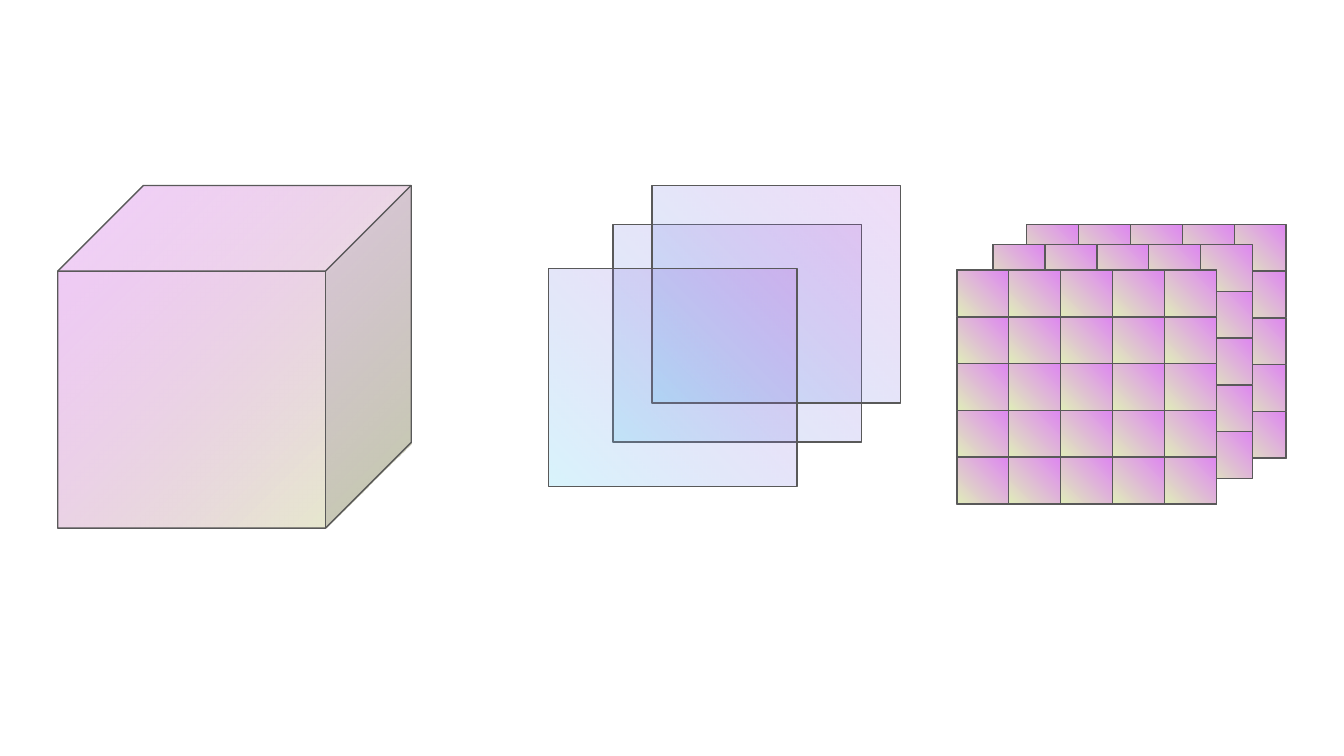
from pptx import Presentation
from pptx import util as u
from pptx.dml.color import RGBColor
from pptx.enum import shapes
from pptx.oxml.ns import qn
from lxml import etree

GREEN = RGBColor(0xE0, 0xED, 0xBA)
PINK = RGBColor(0xDE, 0x87, 0xF1)
CYAN = RGBColor(0x69, 0xD4, 0xF4)
PURPLE = RGBColor(0x9F, 0x39, 0xD5)
OUTLINE = RGBColor(0x59, 0x59, 0x59)

# Gradient stops as (colour, opacity in percent)
CUBE_FILL = ((GREEN, 79), (PINK, 48))
SHEET_FILL = ((CYAN, 26), (PURPLE, 17))
CELL_FILL = ((GREEN, 100), (PINK, 100))

SLIDE_WIDTH = 10
SLIDE_HEIGHT = SLIDE_WIDTH * 9 / 16
GRID_SIZE = 5
GRID_WIDTH, GRID_HEIGHT = 1.93, 1.74


class Diagram:
    """Draws gradient shapes with a thin grey outline on one slide."""

    def __init__(self, slide):
        self.slide = slide

    def block(self, kind, left, top, width, height, stops, parent=None, flip=True):
        parent = self.slide if parent is None else parent
        shape = parent.shapes.add_shape(
            kind, u.Inches(left), u.Inches(top), u.Inches(width), u.Inches(height))
        shape.shadow.inherit = False
        shape.line.color.rgb = OUTLINE
        shape.line.width = u.Pt(0.75)
        shape.fill.gradient()
        shape.fill.gradient_angle = 135
        for stop, (colour, _) in zip(shape.fill.gradient_stops, stops):
            stop.color.rgb = colour
        # Opacity and mirroring need XML
        properties = shape._element.spPr
        colours = properties.find(qn("a:gradFill")).iter(qn("a:srgbClr"))
        for element, (_, opacity) in zip(colours, stops):
            if opacity < 100:
                etree.SubElement(element, qn("a:alpha")).set("val", str(opacity * 1000))
        if flip:
            properties.find(qn("a:xfrm")).set("flipH", "1")
        return shape

    def cube(self, left, top, width, height):
        shape = self.block(shapes.MSO_SHAPE.CUBE, left, top, width, height,
                           CUBE_FILL, flip=False)
        shape.adjustments[0] = 0.25

    def rectangle(self, left, top, width, height, stops, parent=None):
        self.block(shapes.MSO_SHAPE.RECTANGLE, left, top, width, height, stops, parent)

    def grid(self, left, top):
        group = self.slide.shapes.add_group_shape()
        self.rectangle(left, top, GRID_WIDTH, GRID_HEIGHT, CELL_FILL, group)
        cell_width, cell_height = GRID_WIDTH / GRID_SIZE, GRID_HEIGHT / GRID_SIZE
        for row in range(GRID_SIZE):
            for column in range(GRID_SIZE):
                self.rectangle(left + column * cell_width, top + row * cell_height,
                               cell_width, cell_height, CELL_FILL, group)


def main():
    presentation = Presentation()
    presentation.slide_width = u.Inches(SLIDE_WIDTH)
    presentation.slide_height = u.Inches(SLIDE_HEIGHT)
    blank_layout = presentation.slide_layouts[6]
    diagram = Diagram(presentation.slides.add_slide(blank_layout))

    # Solid cube
    diagram.cube(0.43, 1.38, 2.63, 2.55)

    # Translucent sheets
    for left, top in ((4.56, 1.67), (4.85, 1.38), (4.08, 2)):
        diagram.rectangle(left, top, 1.85, 1.62, SHEET_FILL)

    # Stacked grids, back to front
    for left, top in ((7.64, 1.67), (7.39, 1.82), (7.12, 2.01)):
        diagram.grid(left, top)

    presentation.save("out.pptx")


if __name__ == "__main__":
    main()
